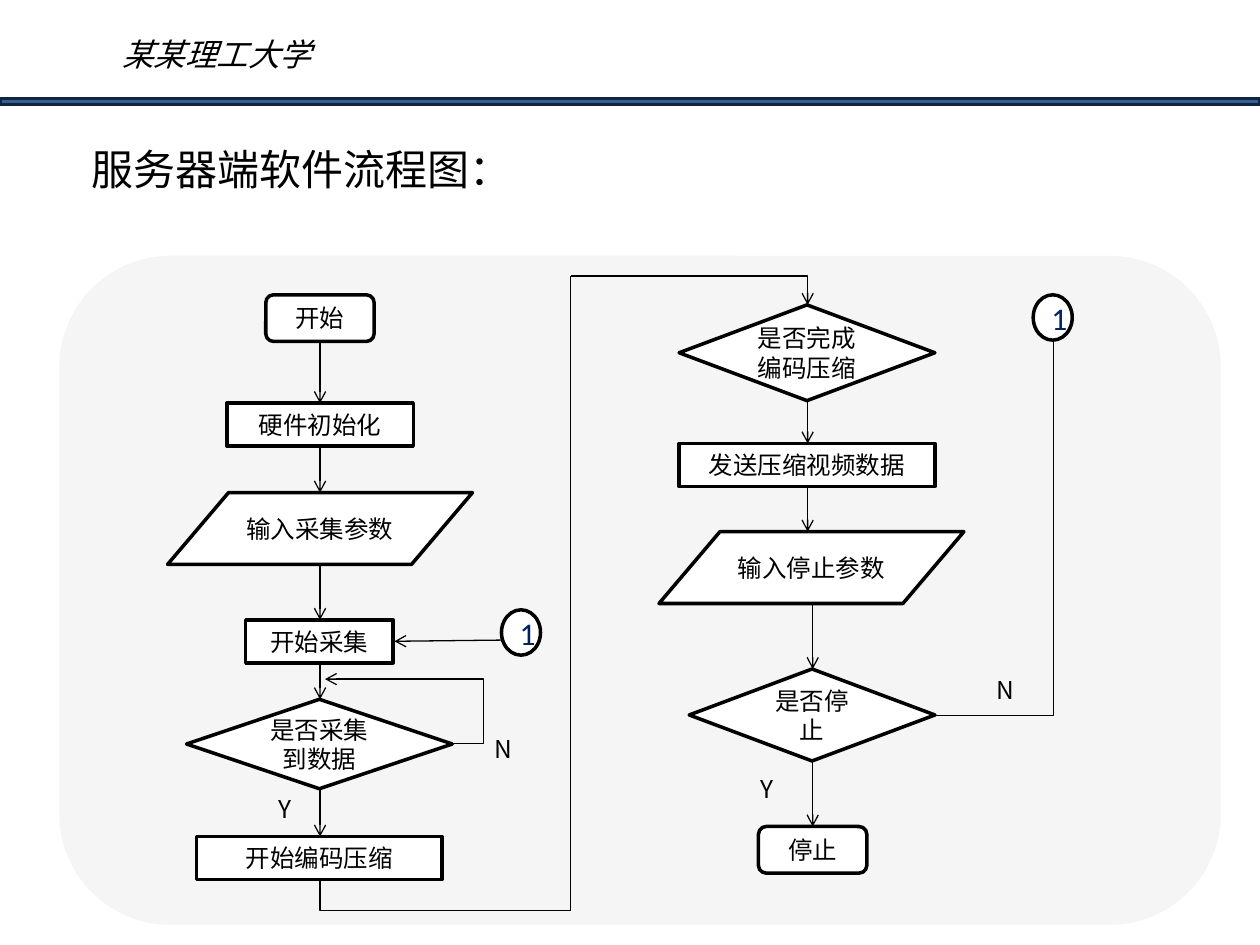
from lxml import etree
from pptx import Presentation
from pptx.dml.color import RGBColor
from pptx.enum.shapes import MSO_CONNECTOR, MSO_SHAPE
from pptx.enum.text import MSO_ANCHOR, PP_ALIGN
from pptx.oxml.ns import qn
from pptx.util import Inches, Pt

STRAIGHT, ELBOW = MSO_CONNECTOR.STRAIGHT, MSO_CONNECTOR.ELBOW
TERMINAL = MSO_SHAPE.FLOWCHART_ALTERNATE_PROCESS
PROCESS = MSO_SHAPE.FLOWCHART_PROCESS
DECISION = MSO_SHAPE.FLOWCHART_DECISION
DATA = MSO_SHAPE.FLOWCHART_DATA
JUMP = MSO_SHAPE.FLOWCHART_CONNECTOR
LEFT, CENTER, MIDDLE = PP_ALIGN.LEFT, PP_ALIGN.CENTER, MSO_ANCHOR.MIDDLE
CJK = "Noto Sans CJK SC"
COLORS = {"black": "000000", "white": "FFFFFF", "panel": "F2F2F2",
          "bar": "376092", "bar_line": "10253F", "navy": "002060"}
COLORS = {name: RGBColor.from_string(c) for name, c in COLORS.items()}

prs = Presentation()
prs.slide_width, prs.slide_height = Inches(10), Inches(7.5)
s = prs.slides.add_slide(prs.slide_layouts[6])


def write(sp, text, size, font, color="black", align=LEFT):
    tf = sp.text_frame
    tf.word_wrap = True
    tf.text = text
    p = tf.paragraphs[0]
    p.alignment = align
    r = p.runs[0]
    r.font.size, r.font.name = Pt(size), font
    r.font.color.rgb = COLORS[color]
    etree.SubElement(r._r.get_or_add_rPr(), qn("a:ea"), typeface=CJK)
    return r


def connect(kind, x1, y1, x2, y2, arrow=True):
    c = s.shapes.add_connector(kind, Inches(x1), Inches(y1), Inches(x2), Inches(y2))
    c.line.color.rgb = COLORS["black"]
    c.line.width = Pt(0.75)
    if arrow:
        etree.SubElement(c.line._get_or_add_ln(), qn("a:tailEnd"), type="arrow")
    etree.SubElement(c._element.spPr, qn("a:effectLst"))
    return c


# Header bar
bar = s.shapes.add_shape(MSO_SHAPE.RECTANGLE, 0, Inches(0.78), Inches(10), Inches(0.05))
bar.shadow.inherit = False
bar.fill.solid()
bar.fill.fore_color.rgb = COLORS["bar"]
bar.line.color.rgb = COLORS["bar_line"]
bar.line.width = Pt(2)

# Header and title
sp = s.shapes.add_textbox(Inches(0.16), Inches(0.23), Inches(3.12), Inches(0.4))
write(sp, "某某理工大学", 18, CJK, align=CENTER).font.italic = True
sp = s.shapes.add_textbox(Inches(0.63), Inches(1.09), Inches(8.28), Inches(0.5))
write(sp, "服务器端软件流程图：", 24, "Arial")

# Translucent rounded panel
panel = s.shapes.add_shape(MSO_SHAPE.ROUNDED_RECTANGLE, Inches(0.47), Inches(2.03),
                           Inches(9.22), Inches(5.31))
panel.shadow.inherit = False
panel.fill.solid()
panel.fill.fore_color.rgb = COLORS["panel"]
panel.line.fill.background()
clr = panel._element.spPr.find(qn("a:solidFill"))[0]
etree.SubElement(clr, qn("a:alpha"), val="71000")

# Straight arrows down each column: x, top, bottom
LEFT_X, RIGHT_X, STOP_X = 2.54, 6.41, 6.45
for x, top, bottom in [
    (LEFT_X, 2.72, 3.2), (LEFT_X, 3.54, 3.91), (LEFT_X, 4.48, 4.92),
    (LEFT_X, 5.26, 5.55), (LEFT_X, 6.26, 6.64),
    (RIGHT_X, 3.19, 3.52), (RIGHT_X, 3.85, 4.22),
    (STOP_X, 4.79, 5.31), (STOP_X, 6.04, 6.56),
]:
    connect(STRAIGHT, x, top, x, bottom)

# Jump back to the start of capture
connect(STRAIGHT, 3.99, 5.08, 3.13, 5.09)

# Retry loop of the capture decision
retry = connect(ELBOW, 3.59, 5.9, 2.58, 5.39)
retry._element.spPr.prstGeom.get_or_add_avLst()
etree.SubElement(retry._element.spPr.prstGeom.avLst, qn("a:gd"),
                 name="adj1", fmla="val -24600")

# Link between the columns: a quarter-turned elbow, then a corner
link = connect(ELBOW, 5.93, 5.58, 1.14, 3.59, arrow=False)
link._element.spPr.find(qn("a:xfrm")).set("rot", "5400000")
link._element.spPr.prstGeom.get_or_add_avLst()
etree.SubElement(link._element.spPr.prstGeom.avLst, qn("a:gd"),
                 name="adj1", fmla="val -5200")
for ends in [(4.53, 2.19, RIGHT_X, 2.42), (7.42, 5.68, 8.36, 2.5)]:
    corner = connect(ELBOW, *ends)
    corner._element.spPr.prstGeom.set("prst", "bentConnector2")

# Flowchart steps: shape, left, top, width, height, text
for kind, x, y, w, h, text in [
    (TERMINAL, 2.11, 2.34, 0.86, 0.37, "开始"),
    (PROCESS, 1.8, 3.2, 1.48, 0.34, "硬件初始化"),
    (DATA, 1.33, 3.91, 2.42, 0.57, "输入采集参数"),
    (PROCESS, 1.95, 4.92, 1.17, 0.34, "开始采集"),
    (DECISION, 1.48, 5.55, 2.11, 0.71, "是否采集到数据"),
    (PROCESS, 1.56, 6.64, 1.95, 0.34, "开始编码压缩"),
    (DECISION, 5.39, 2.42, 2.03, 0.76, "是否完成编码压缩"),
    (PROCESS, 5.39, 3.52, 2.03, 0.34, "发送压缩视频数据"),
    (DATA, 5.23, 4.22, 2.42, 0.57, "输入停止参数"),
    (DECISION, 5.47, 5.31, 1.95, 0.73, "是否停止"),
    (TERMINAL, 6.02, 6.56, 0.86, 0.37, "停止"),
    (JUMP, 8.2, 2.34, 0.31, 0.36, "1"),
    (JUMP, 3.98, 4.84, 0.31, 0.36, "1"),
]:
    sp = s.shapes.add_shape(kind, Inches(x), Inches(y), Inches(w), Inches(h))
    sp.shadow.inherit = False
    sp.fill.solid()
    sp.fill.fore_color.rgb = COLORS["white"]
    sp.line.color.rgb = COLORS["black"]
    sp.line.width = Pt(2)
    sp.text_frame.vertical_anchor = MIDDLE
    if kind == JUMP:
        write(sp, text, 18, "Calibri", "navy")
    else:
        write(sp, text, 14, "Calibri", align=CENTER)

# Branch labels
for text, x, y, w in [("Y", 2.11, 6.25, 0.39), ("N", 3.83, 5.78, 0.23),
                      ("Y", 5.94, 6.09, 0.39), ("N", 7.81, 5.31, 0.23)]:
    sp = s.shapes.add_textbox(Inches(x), Inches(y), Inches(w), Inches(0.34))
    write(sp, text, 14, CJK)

prs.save("out.pptx")
